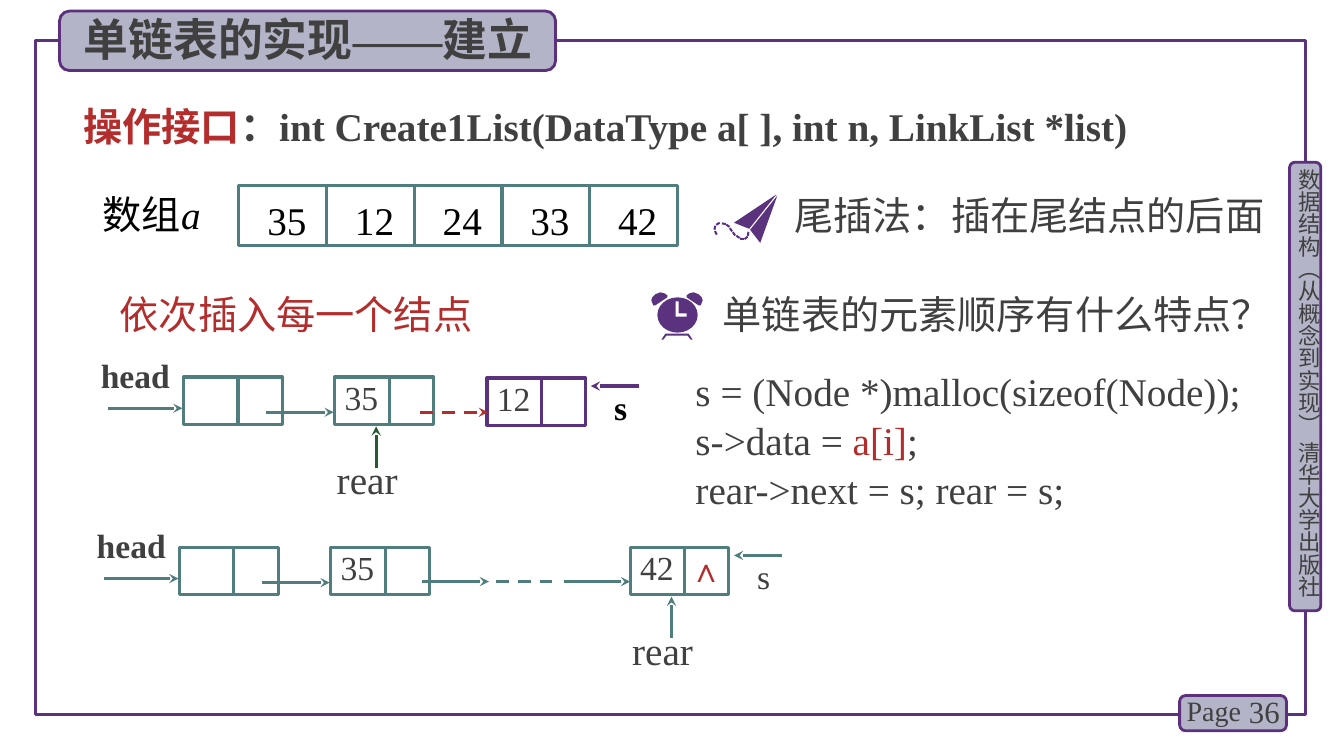
from dataclasses import dataclass

from lxml import etree
from pptx import Presentation
from pptx.dml.color import RGBColor
from pptx.enum.dml import MSO_LINE
from pptx.enum.shapes import MSO_CONNECTOR, MSO_SHAPE
from pptx.enum.text import MSO_ANCHOR, MSO_AUTO_SIZE, PP_ALIGN
from pptx.oxml.ns import qn
from pptx.util import Inches, Pt

RECT, ROUND, OVAL = MSO_SHAPE.RECTANGLE, MSO_SHAPE.ROUNDED_RECTANGLE, MSO_SHAPE.OVAL
LEFT, CENTER, RIGHT = PP_ALIGN.LEFT, PP_ALIGN.CENTER, PP_ALIGN.RIGHT
TOP, MIDDLE = MSO_ANCHOR.TOP, MSO_ANCHOR.MIDDLE
STRAIGHT, DASH = MSO_CONNECTOR.STRAIGHT, MSO_LINE.DASH
NO_FIT = MSO_AUTO_SIZE.NONE

SERIF, SANS, CJK = "Times New Roman", "Calibri", "Noto Sans CJK SC"
PURPLE, BORDER, LILAC = "5A327D", "5C307D", "B4B4C8"
TEAL, GREEN, RED = "507D7D", "285A32", "B42D2D"
GREY, BLACK, WHITE = "404040", "000000", "FFFFFF"

Box = tuple[float, float, float, float]
Point = tuple[float, float]


@dataclass
class Run:
    text: str
    color: str = GREY
    bold: bool = False
    italic: bool = False
    font: str = SERIF
    asian: str = CJK


@dataclass
class Node:
    left: float
    top: float
    color: str = TEAL
    value: str = ""


@dataclass
class TrailDash:
    x: float
    y: float
    angle: float


TRAIL = [
    TrailDash(7.42, 2.32, 100), TrailDash(7.4, 2.36, 140), TrailDash(7.36, 2.37, 5),
    TrailDash(7.32, 2.35, 35), TrailDash(7.28, 2.32, 55), TrailDash(7.25, 2.28, 55),
    TrailDash(7.22, 2.24, 35), TrailDash(7.18, 2.22, 10), TrailDash(7.12, 2.22, 150),
    TrailDash(7.09, 2.26, 100), TrailDash(7.1, 2.31, 65),
]
PLANE = [
    [(7.71, 1.94), (7.54, 2.41), (7.44, 2.28)],
    [(7.7, 1.93), (7.43, 2.27), (7.28, 2.21)],
]
CLOCK_MIDDLE = 6.715
CLOCK_BELL = [(6.55, 2.9), (6.5, 2.92), (6.47, 2.95), (6.46, 2.98), (6.48, 3.03),
              (6.5, 3.03), (6.62, 2.95), (6.62, 2.93), (6.59, 2.91)]
CLOCK_LEGS = [(6.56, 3.37), (6.6, 3.31), (6.83, 3.31), (6.87, 3.37), (6.85, 3.37),
              (6.82, 3.33), (6.61, 3.33), (6.58, 3.37)]
CLOCK_HANDS = [(6.7, 2.99), (6.73, 2.99), (6.73, 3.11), (6.81, 3.11), (6.81, 3.14), (6.7, 3.14)]


def rgb(color: str) -> RGBColor:
    return RGBColor.from_string(color)


def write(frame, paragraphs: list[list[Run]], *, size: float, align=LEFT, anchor=TOP,
          inset: Box = (0.1, 0.05, 0.1, 0.05), spacing: float = 1.0) -> None:
    frame.word_wrap = True
    frame.auto_size = NO_FIT
    frame.vertical_anchor = anchor
    frame.margin_left, frame.margin_top, frame.margin_right, frame.margin_bottom = map(Inches, inset)
    for index, runs in enumerate(paragraphs):
        paragraph = frame.add_paragraph() if index else frame.paragraphs[0]
        paragraph.alignment = align
        paragraph.line_spacing = spacing
        for part in runs:
            run = paragraph.add_run()
            run.text = part.text
            run.font.size = Pt(size)
            run.font.name = part.font
            run.font.bold = part.bold
            run.font.italic = part.italic
            run.font.color.rgb = rgb(part.color)
            asian = etree.Element(qn("a:ea"), typeface=part.asian)
            run.font._element.find(qn("a:latin")).addnext(asian)


def add_text(slide, box: Box, *runs: Run, size: float = 28, **layout):
    frame = slide.shapes.add_textbox(*map(Inches, box)).text_frame
    write(frame, [list(runs)], size=size, **layout)
    return frame


def add_box(slide, box: Box, kind=RECT, *, fill: str = "", line: str = "", width: float = 2.25):
    shape = slide.shapes.add_shape(kind, *map(Inches, box))
    paint(shape, fill, line, width)
    return shape


def paint(shape, fill: str, line: str = "", width: float = 2.25) -> None:
    shape.shadow.inherit = False
    if fill:
        shape.fill.solid()
        shape.fill.fore_color.rgb = rgb(fill)
    else:
        shape.fill.background()
    if line:
        shape.line.color.rgb = rgb(line)
        shape.line.width = Pt(width)
    else:
        shape.line.fill.background()


def add_polygon(slide, points: list[Point], fill: str = PURPLE) -> None:
    corners = [(Inches(x), Inches(y)) for x, y in points]
    builder = slide.shapes.build_freeform(*corners[0])
    builder.add_line_segments(corners[1:], close=True)
    paint(builder.convert_to_shape(), fill)


def add_line(slide, start: Point, end: Point, color: str = TEAL, *,
             dashed: bool = False, arrow: bool = True) -> None:
    line = slide.shapes.add_connector(STRAIGHT, *map(Inches, start + end))
    line.line.color.rgb = rgb(color)
    line.line.width = Pt(2.25)
    if dashed:
        line.line.dash_style = DASH
    properties = line.element.spPr
    if arrow:
        etree.SubElement(properties.find(qn("a:ln")), qn("a:tailEnd"), type="stealth")
    etree.SubElement(properties, qn("a:effectLst"))


def add_node(slide, node: Node) -> None:
    cell = add_box(slide, (node.left, node.top, 0.98, 0.47), line=node.color)
    if node.value:
        write(cell.text_frame, [[Run(node.value)]], size=24, inset=(0.1, 0.04, 0, 0), spacing=0.9)
    divider = node.left + 0.54
    add_line(slide, (divider, node.top), (divider, node.top + 0.47), node.color, arrow=False)


def add_list_start(slide, left: float, top: float) -> Node:
    """Draw the head pointer, the head node and the first data node, which is returned."""
    add_line(slide, (left - 0.75, top + 0.31), (left - 0.01, top + 0.31))
    add_text(slide, (left - 0.82, top - 0.22, 0.83, 0.51), Run("head", bold=True),
             size=24, inset=(0, 0, 0, 0.04))
    first = Node(left + 1.5, top, value="35")
    add_node(slide, Node(left, top))
    add_node(slide, first)
    add_line(slide, (left + 0.82, top + 0.35), (left + 1.49, top + 0.35))
    return first


def add_new_node(slide, node: Node, label: Run) -> None:
    """Draw a node with its s pointer."""
    add_node(slide, node)
    y = node.top + 0.08
    add_line(slide, (node.left + 1.51, y), (node.left + 1.03, y), node.color)
    add_text(slide, (node.left + 1.26, y + 0.01, 0.27, 0.4), label, size=24, inset=(0, 0, 0, 0))


def add_rear(slide, node: Node, color: str) -> None:
    x = node.left + 0.41
    add_line(slide, (x, node.top + 0.9), (x, node.top + 0.49), color)
    add_text(slide, (node.left + 0.02, node.top + 0.78, 0.83, 0.51), Run("rear"),
             inset=(0, 0, 0, 0.04))


def draw_frame(slide) -> None:
    add_box(slide, (0.35, 0.4, 12.6, 6.69), line=PURPLE)
    badges = [(12.79, 1.61, 0.31, 4.45), (11.7, 6.9, 1.06, 0.35), (0.59, 0.11, 4.92, 0.59)]
    for badge in badges:
        plate = add_box(slide, badge, ROUND, fill=LILAC, line=BORDER, width=2)
    title = slide.shapes.title
    plate.element.addnext(title.element)
    title.left, title.top, title.width, title.height = map(Inches, (0.73, 0.07, 4.77, 0.64))
    write(title.text_frame, [[Run("单链表的实现", bold=True, font=CJK),
                              Run("——", bold=True, asian=SERIF),
                              Run("建立", bold=True, font=CJK)]], size=32)
    book = add_text(slide, (12.85, 1.67, 0.27, 4.49),
                    Run("数据结构（从概念到实现） 清华大学出版社", font=CJK),
                    size=16, inset=(0, 0, 0, 0))
    book._element.find(qn("a:bodyPr")).set("vert", "eaVert")
    add_text(slide, (11.67, 6.83, 0.78, 0.44), Run("Page"), size=20)
    add_text(slide, (12.2, 6.86, 0.59, 0.4), Run("36"), size=22, align=RIGHT, anchor=MIDDLE)


def draw_array(slide) -> None:
    add_text(slide, (0.92, 1.84, 1.58, 0.57), Run("数组", BLACK, font=SANS),
             Run("a", BLACK, italic=True))
    for index, value in enumerate(["35", "12", "24", "33", "42"]):
        cell = add_box(slide, (2.37 + 0.87 * index, 1.84, 0.87, 0.6), line=TEAL)
        write(cell.text_frame, [[Run(value, BLACK)]], size=28, align=CENTER, anchor=MIDDLE,
              inset=(0.08, 0.08, 0, 0))


def draw_plane(slide) -> None:
    for wing in PLANE:
        add_polygon(slide, wing)
    for dash in TRAIL:
        mark = add_box(slide, (dash.x - 0.02, dash.y - 0.01, 0.04, 0.02), ROUND, fill=PURPLE)
        mark.rotation = dash.angle


def draw_clock(slide) -> None:
    mirrored_bell = [(2 * CLOCK_MIDDLE - x, y) for x, y in CLOCK_BELL]
    for part in (CLOCK_LEGS, CLOCK_BELL, mirrored_bell):
        add_polygon(slide, part)
    add_box(slide, (6.52, 2.95, 0.4, 0.35), OVAL, fill=PURPLE)
    add_polygon(slide, CLOCK_HANDS, WHITE)


def main() -> None:
    deck = Presentation()
    deck.slide_width, deck.slide_height = Inches(13.33), Inches(7.5)
    slide = deck.slides.add_slide(deck.slide_layouts.get_by_name("Title Only"))
    draw_frame(slide)
    add_text(slide, (0.73, 0.97, 11.24, 0.57), Run("操作接口", RED, bold=True),
             Run("：int Create1List(DataType a[ ], int n, LinkList *list)", bold=True))
    draw_array(slide)
    draw_plane(slide)
    add_text(slide, (7.88, 1.85, 4.94, 0.57), Run("尾插法：插在尾结点的后面", font=CJK),
             inset=(0, 0.05, 0, 0.05))
    add_text(slide, (1.09, 2.83, 3.78, 0.57), Run("依次插入每一个结点", RED, font=CJK))
    draw_clock(slide)
    add_text(slide, (7.07, 2.83, 5.76, 0.57), Run("单链表的元素顺序有什么特点？"))

    first = add_list_start(slide, 1.82, 3.74)
    add_rear(slide, first, GREEN)
    add_new_node(slide, Node(4.83, 3.75, PURPLE, "12"), Run("s", BLACK, bold=True))
    add_line(slide, (4.17, 4.09), (4.84, 4.09), RED, dashed=True)
    code = slide.shapes.add_textbox(*map(Inches, (6.8, 3.58, 5.9, 1.51))).text_frame
    write(code, [[Run("s = (Node *)malloc(sizeof(Node));")],
                 [Run("s->data = "), Run("a[i]", RED), Run(";")],
                 [Run("rear->next = s; rear = s;")]], size=28, spacing=1.04)

    add_list_start(slide, 1.78, 5.43)
    add_line(slide, (4.19, 5.77), (4.85, 5.77))
    add_line(slide, (4.92, 5.77), (5.51, 5.77), dashed=True, arrow=False)
    add_line(slide, (5.59, 5.77), (6.25, 5.77))
    last = Node(6.25, 5.43, value="42")
    add_new_node(slide, last, Run("s"))
    add_rear(slide, last, TEAL)
    add_text(slide, (6.74, 5.4, 0.57, 0.49), Run("∧", RED, bold=True), size=24)
    deck.save("out.pptx")


if __name__ == "__main__":
    main()
